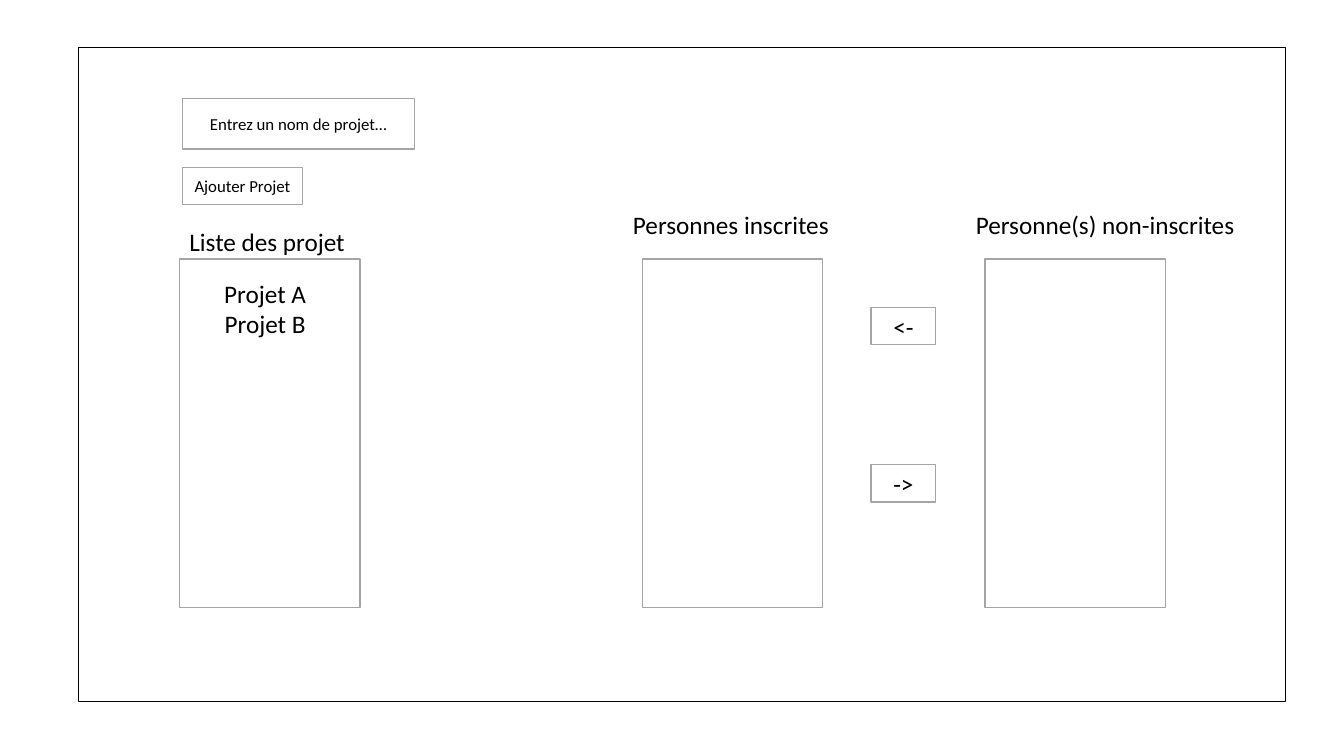
import pptx
import pptx.dml.color
import pptx.enum.shapes
import pptx.enum.text
import pptx.util

BLACK = pptx.dml.color.RGBColor(0x00, 0x00, 0x00)
WHITE = pptx.dml.color.RGBColor(0xFF, 0xFF, 0xFF)
GREY = pptx.dml.color.RGBColor(0xA5, 0xA5, 0xA5)

EMU_PER_PX = 9144  # 100 px to the inch
CENTER = pptx.enum.text.PP_ALIGN.CENTER
LEFT = pptx.enum.text.PP_ALIGN.LEFT


def px(*lengths):
    return [pptx.util.Emu(length * EMU_PER_PX) for length in lengths]


class Wireframe:
    """Draws mock-up elements on one slide in a shared style."""

    font = "Calibri"
    line_width = pptx.util.Pt(1)

    def __init__(self, slide):
        self.shapes = slide.shapes

    def add_lines(self, frame, lines, size, align):
        for index, line in enumerate(lines):
            paragraph = frame.add_paragraph() if index else frame.paragraphs[0]
            paragraph.alignment = align
            run = paragraph.add_run()
            run.text = line
            run.font.name = self.font
            run.font.size = pptx.util.Pt(size)
            run.font.color.rgb = BLACK

    def panel(self, left, top, width, height, outline=GREY):
        panel = self.shapes.add_shape(
            pptx.enum.shapes.MSO_SHAPE.RECTANGLE, *px(left, top, width, height))
        panel.shadow.inherit = False
        panel.fill.solid()
        panel.fill.fore_color.rgb = WHITE
        panel.line.color.rgb = outline
        panel.line.width = self.line_width
        return panel

    def control(self, caption, left, top, width, height, size):
        """Draws a button or an input field with a centred caption."""
        frame = self.panel(left, top, width, height).text_frame
        frame.word_wrap = True
        frame.vertical_anchor = pptx.enum.text.MSO_ANCHOR.MIDDLE
        self.add_lines(frame, [caption], size, CENTER)

    def label(self, lines, left, top, width, height, align=LEFT, wrap=True):
        frame = self.shapes.add_textbox(*px(left, top, width, height)).text_frame
        frame.word_wrap = wrap
        frame.auto_size = pptx.enum.text.MSO_AUTO_SIZE.SHAPE_TO_FIT_TEXT
        self.add_lines(frame, lines, 18, align)


def main():
    presentation = pptx.Presentation()
    presentation.slide_width, presentation.slide_height = px(1333, 750)
    blank = presentation.slide_layouts[6]
    screen = Wireframe(presentation.slides.add_slide(blank))

    screen.panel(78, 47, 1197, 649, outline=BLACK)
    screen.control("Entrez un nom de projet…", 181, 98, 230, 50, size=12)

    projects_left, enrolled_left, others_left = 178, 637, 977
    for list_left in (projects_left, enrolled_left, others_left):
        screen.panel(list_left, 257, 179, 346)

    for arrow, top in (("<-", 305), ("->", 461)):
        screen.control(arrow, 864, top, 64, 37, size=18)
    screen.control("Ajouter Projet", 181, 166, 119, 37, size=12)

    screen.label(["Projet A", "Projet B"], 198, 271, 130, 101, align=CENTER)
    screen.label(["Liste des projet"], projects_left, 220, 186, 40)
    for heading, list_left, width in (
        ("Personnes inscrites", enrolled_left, 216),
        ("Personne(s) non-inscrites", others_left, 278),
    ):
        screen.label([heading], list_left - 19, 203, width, 40, wrap=False)

    presentation.save("out.pptx")


if __name__ == "__main__":
    main()
